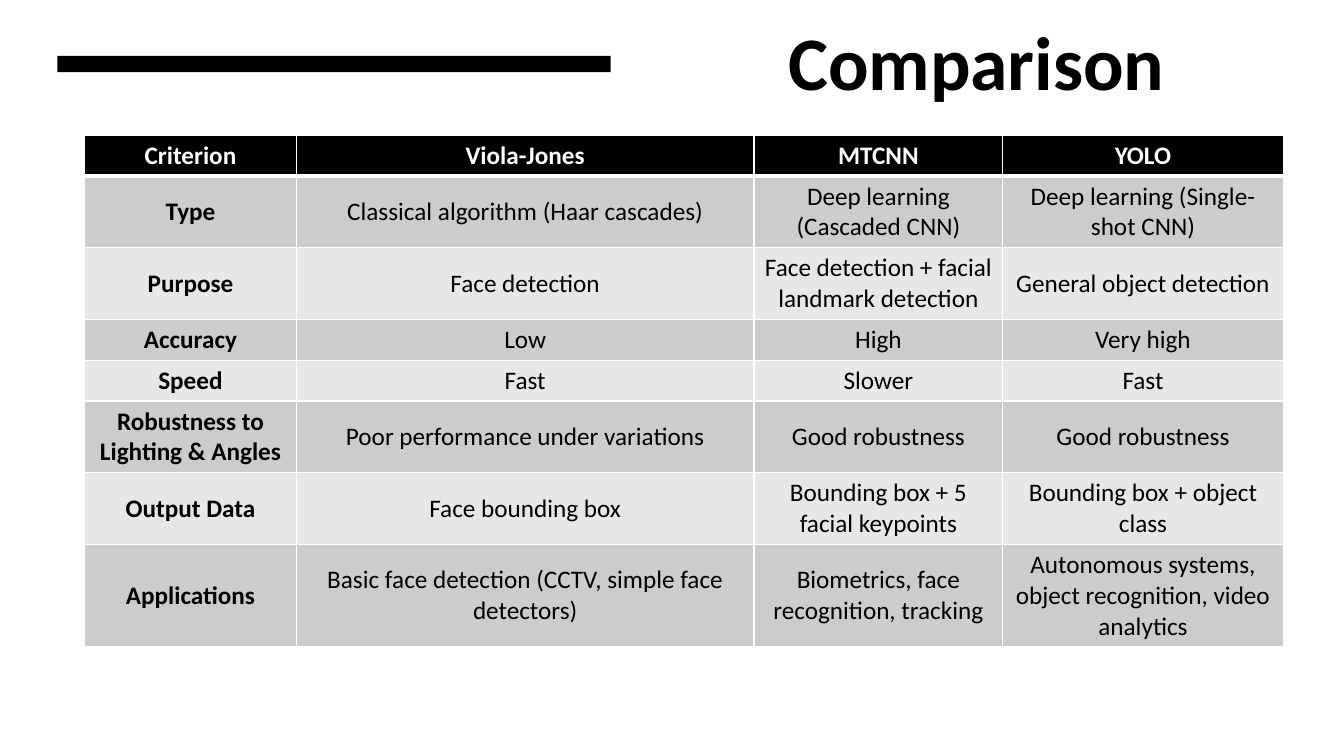
from lxml import etree
from pptx import Presentation
from pptx import util as u
from pptx.dml.color import RGBColor
from pptx.enum import shapes, text
from pptx.oxml import ns

TITLE = "Comparison"
ROWS = [
    ("Criterion", "Viola-Jones", "MTCNN", "YOLO"),
    ("Type", "Classical algorithm (Haar cascades)",
     "Deep learning (Cascaded CNN)", "Deep learning (Single-shot CNN)"),
    ("Purpose", "Face detection",
     "Face detection + facial landmark detection", "General object detection"),
    ("Accuracy", "Low", "High", "Very high"),
    ("Speed", "Fast", "Slower", "Fast"),
    ("Robustness to Lighting & Angles", "Poor performance under variations",
     "Good robustness", "Good robustness"),
    ("Output Data", "Face bounding box",
     "Bounding box + 5 facial keypoints", "Bounding box + object class"),
    ("Applications", "Basic face detection (CCTV, simple face detectors)",
     "Biometrics, face recognition, tracking",
     "Autonomous systems, object recognition, video analytics"),
]
LINES_PER_ROW = [1, 2, 2, 1, 1, 2, 2, 3]
COLUMN_WIDTHS = [151.2, 326.9, 177.8, 200.2]
LINE_HEIGHT, CELL_PADDING = 22, 7.2
BLACK, WHITE = "000000", "FFFFFF"
BANDS = ["E7E7E7", "CCCCCC"]


def paint(target, color):
    target.fill.solid()
    target.fill.fore_color.rgb = RGBColor.from_string(color)


def write(frame, words, size=18, color=BLACK, bold=False, align=text.PP_ALIGN.CENTER):
    frame.word_wrap = True
    para = frame.paragraphs[0]
    para.alignment = align
    span = para.add_run()
    span.text = words
    span.font.name = "Calibri"
    span.font.size = u.Pt(size)
    span.font.bold = bold
    span.font.color.rgb = RGBColor.from_string(color)


def add_borders(cell, top=1, bottom=1):
    properties = cell._tc.get_or_add_tcPr()
    widths = {"a:lnL": 1, "a:lnR": 1, "a:lnT": top, "a:lnB": bottom}
    for position, (tag, width) in enumerate(widths.items()):
        line = etree.Element(ns.qn(tag), w=str(u.Pt(width)))
        fill = etree.SubElement(line, ns.qn("a:solidFill"))
        etree.SubElement(fill, ns.qn("a:srgbClr"), val=WHITE)
        properties.insert(position, line)


def add_bar(page):
    bar = page.shapes.add_shape(shapes.MSO_SHAPE.RECTANGLE,
                                u.Pt(41), u.Pt(40), u.Pt(395.3), u.Pt(11.5))
    bar.shadow.inherit = False
    bar.line.fill.background()
    paint(bar, BLACK)


def add_title(page):
    box = page.shapes.add_textbox(u.Pt(555.8), u.Pt(4.3), u.Pt(395.3), u.Pt(383.8))
    box.text_frame.margin_top = u.Pt(6)
    write(box.text_frame, TITLE, size=54, bold=True, align=text.PP_ALIGN.LEFT)


def add_comparison(page):
    heights = [lines * LINE_HEIGHT + CELL_PADDING for lines in LINES_PER_ROW]
    table = page.shapes.add_table(
        len(ROWS), len(COLUMN_WIDTHS), u.Pt(60.5), u.Pt(96.5),
        u.Pt(sum(COLUMN_WIDTHS)), u.Pt(sum(heights))).table
    for column, width in zip(table.columns, COLUMN_WIDTHS):
        column.width = u.Pt(width)
    for r, (row, height) in enumerate(zip(ROWS, heights)):
        table.rows[r].height = u.Pt(height)
        header = r == 0
        for c, words in enumerate(row):
            cell = table.cell(r, c)
            cell.vertical_anchor = text.MSO_ANCHOR.MIDDLE
            paint(cell, BLACK if header else BANDS[r % 2])
            add_borders(cell, top=3 if r == 1 else 1, bottom=3 if header else 1)
            write(cell.text_frame, words, color=WHITE if header else BLACK,
                  bold=header or c == 0)


def main():
    deck = Presentation()
    deck.slide_width, deck.slide_height = u.Pt(960), u.Pt(540)
    page = deck.slides.add_slide(deck.slide_layouts[6])
    add_bar(page)
    add_title(page)
    add_comparison(page)
    deck.save("out.pptx")


if __name__ == "__main__":
    main()
